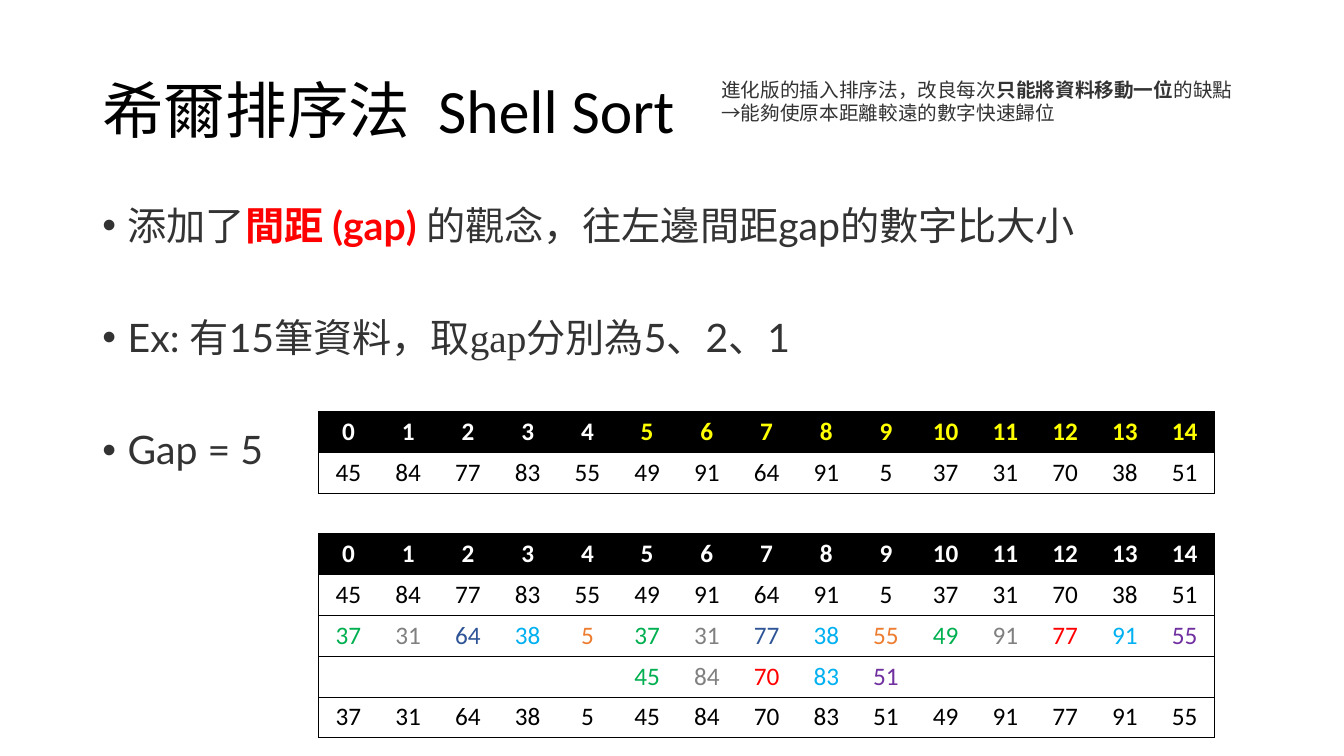
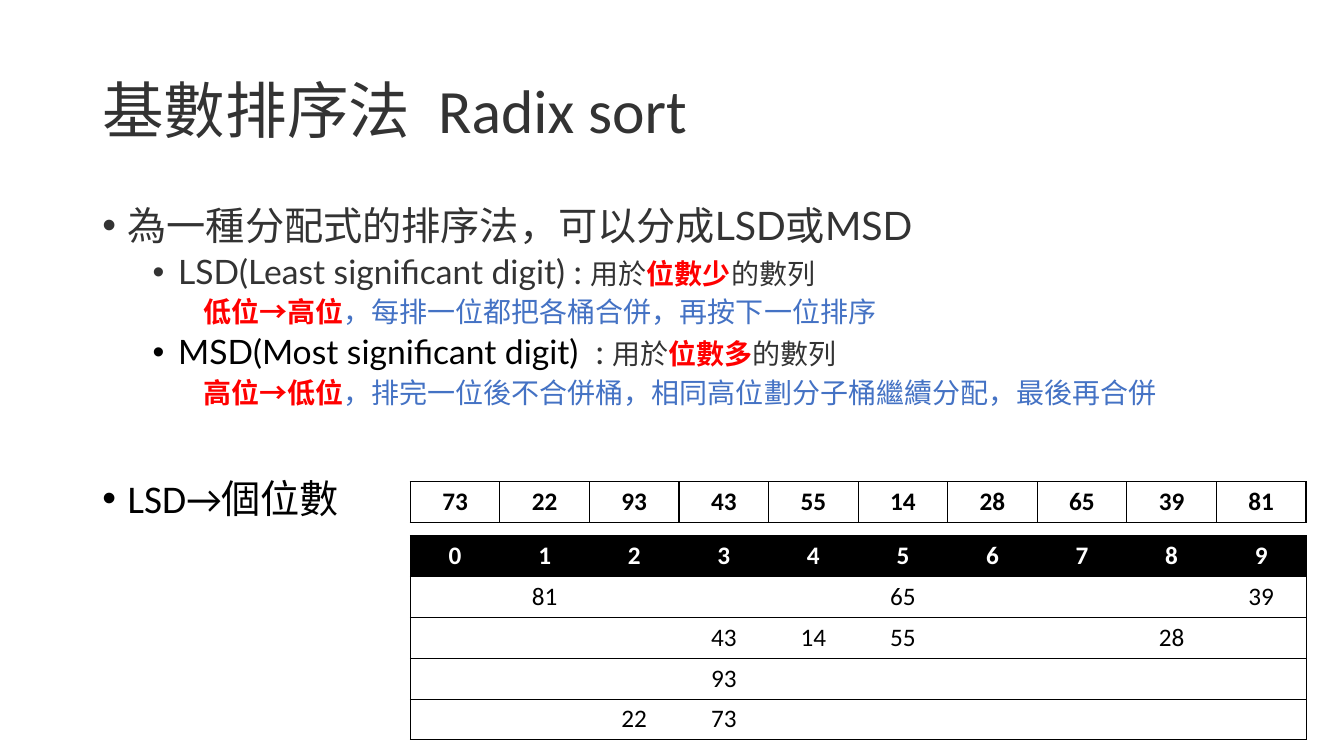
from dataclasses import dataclass
from typing import Optional

from lxml import etree
from pptx import Presentation
from pptx.dml.color import RGBColor
from pptx.enum import text as tx
from pptx.oxml import ns
from pptx.util import Cm, Pt

BLACK = RGBColor(0x00, 0x00, 0x00)
WHITE = RGBColor(0xFF, 0xFF, 0xFF)
INK = RGBColor(0x33, 0x33, 0x33)
RED = RGBColor(0xFF, 0x00, 0x00)
YELLOW = RGBColor(0xFF, 0xFF, 0x00)
BLUE = RGBColor(0x44, 0x72, 0xC4)
GREEN = RGBColor(0x00, 0xB0, 0x50)
GRAY = RGBColor(0x80, 0x80, 0x80)
NAVY = RGBColor(0x2F, 0x55, 0x97)
SKY = RGBColor(0x00, 0xB0, 0xF0)
ORANGE = RGBColor(0xED, 0x7D, 0x31)
PURPLE = RGBColor(0x70, 0x30, 0xA0)

HEAD_FONT = "Calibri"
BODY_FONT = "Lato"
MARGIN = Cm(2.33)
CONTENT_WIDTH = Cm(29.21)
TABLE_WIDTH = Cm(22.58)
ROW_HEIGHT = Cm(1.03)
SECTION_GAP = 50

EARLY_GROUPS = [GREEN, GRAY, NAVY, SKY, ORANGE]
LATE_GROUPS = [GREEN, GRAY, RED, SKY, PURPLE]

SHELL_DATA = [45, 84, 77, 83, 55, 49, 91, 64, 91, 5, 37, 31, 70, 38, 51]
SHELL_MOVED = [37, 31, 64, 38, 5, 37, 31, 77, 38, 55, 49, 91, 77, 91, 55]
SHELL_SWAPPED = [""] * 5 + [45, 84, 70, 83, 51] + [""] * 5
SHELL_RESULT = [37, 31, 64, 38, 5, 45, 84, 70, 83, 51, 49, 91, 77, 91, 55]

RADIX_DATA = [73, 22, 93, 43, 55, 14, 28, 65, 39, 81]
RADIX_BUCKETS = [
    {1: 81, 5: 65, 9: 39},
    {3: 43, 4: 14, 5: 55, 8: 28},
    {3: 93},
    {2: 22, 3: 73},
]


@dataclass
class Span:
    text: str
    color: Optional[RGBColor] = None
    bold: Optional[bool] = None
    size: Optional[float] = None
    font: Optional[str] = None


def key(text):
    return Span(text, RED, True)


def style(font, name=None, size=None, color=None, bold=None):
    if name:
        font.name = name
    if size:
        font.size = Pt(size)
    if color is not None:
        font.color.rgb = color
    if bold is not None:
        font.bold = bold


def write(paragraph, spans, name=BODY_FONT, size=28, color=INK):
    style(paragraph.font, name, size, color)
    for span in spans:
        if isinstance(span, str):
            span = Span(span)
        run = paragraph.add_run()
        run.text = span.text
        style(run.font, span.font, span.size, span.color, span.bold)


def add_frame(slide, left, top, width, height):
    frame = slide.shapes.add_textbox(left, top, width, height).text_frame
    frame.word_wrap = True
    return frame


def next_paragraph(frame):
    first = frame.paragraphs[0]
    return frame.add_paragraph() if first.runs else first


def add_title(slide, title, color):
    frame = add_frame(slide, MARGIN, Cm(1.01), CONTENT_WIDTH, Cm(3.68))
    frame.vertical_anchor = tx.MSO_ANCHOR.MIDDLE
    heading = frame.paragraphs[0]
    heading.line_spacing = 0.9
    write(heading, [title], HEAD_FONT, 44, color)


def add_body(slide):
    return add_frame(slide, MARGIN, Cm(5.07), CONTENT_WIDTH, Cm(12.09))


def add_point(frame, spans, level=0, before=10, bullet=True, **look):
    point = next_paragraph(frame)
    point.level = level
    properties = point._p.get_or_add_pPr()
    hang = Cm(0.64) if bullet else 0
    properties.set("marL", str(Cm((0.64, 1.91, 2.54)[level])))
    properties.set("indent", str(-hang))
    if bullet:
        etree.SubElement(properties, ns.qn("a:buFont")).set("typeface", "Arial")
        etree.SubElement(properties, ns.qn("a:buChar")).set("char", "•")
    point.line_spacing = 0.9
    point.space_before = Pt(before)
    write(point, spans, **look)


def add_note(slide, lines):
    frame = add_frame(slide, Cm(17.93), Cm(1.83), Cm(13.6), Cm(2.06))
    frame.auto_size = tx.MSO_AUTO_SIZE.SHAPE_TO_FIT_TEXT
    for spans in lines:
        write(next_paragraph(frame), spans, size=14)


def set_borders(cell, sides, width):
    properties = cell._tc.get_or_add_tcPr()
    for side in "LRTB":
        line = etree.SubElement(properties, ns.qn(f"a:ln{side}"))
        if side in sides:
            line.set("w", str(Pt(width)))
            fill = etree.SubElement(line, ns.qn("a:solidFill"))
            etree.SubElement(fill, ns.qn("a:srgbClr")).set("val", str(BLACK))
        else:
            etree.SubElement(line, ns.qn("a:noFill"))


def fill_cell(cell, value, color, bold, background=None):
    if background is None:
        cell.fill.background()
    else:
        cell.fill.solid()
        cell.fill.fore_color.rgb = background
    entry = cell.text_frame.paragraphs[0]
    entry.alignment = tx.PP_ALIGN.CENTER
    style(entry.font, HEAD_FONT, 18, color, bold)
    if value != "":
        entry.add_run().text = str(value)


def add_grid(slide, left, top, rows):
    columns = len(rows[0])
    grid = slide.shapes.add_table(
        len(rows), columns, left, top, TABLE_WIDTH, ROW_HEIGHT * len(rows)
    ).table
    grid.first_row = False
    grid.horz_banding = False
    for row in grid.rows:
        row.height = ROW_HEIGHT
    return grid


def add_array_table(slide, left, top, rows, head_colors=None, row_colors=None):
    columns = len(rows[0])
    colors = {0: head_colors or [WHITE] * columns, **(row_colors or {})}
    grid = add_grid(slide, left, top, [range(columns), *rows])
    for r, values in enumerate([range(columns), *rows]):
        palette = colors.get(r, [BLACK] * columns)
        for c, value in enumerate(values):
            cell = grid.cell(r, c)
            sides = "TB" + "L" * (c == 0) + "R" * (c == columns - 1)
            set_borders(cell, sides, 0.5)
            fill_cell(cell, value, palette[c], r == 0, BLACK if r == 0 else None)


def add_input_strip(slide, left, top, values):
    grid = add_grid(slide, left, top, [values])
    for c, value in enumerate(values):
        cell = grid.cell(0, c)
        cell.vertical_anchor = tx.MSO_ANCHOR.MIDDLE
        set_borders(cell, "LRTB", 1)
        fill_cell(cell, value, BLACK, True)


def build_shell_sort(slide):
    add_title(slide, "希爾排序法  Shell Sort", BLACK)
    body = add_body(slide)
    add_point(body, ["添加了", key("間距 (gap) "), "的觀念，往左邊間距gap的數字比大小"])
    add_point(body, [
        "Ex: 有15筆資料，取",
        Span("gap", font="Times New Roman"),
        "分別為5",
        Span("、", font="Roboto"),
        "2",
        Span("、", font="Roboto"),
        "1",
    ], before=SECTION_GAP)
    add_point(body, ["Gap = 5"], before=SECTION_GAP)
    add_note(slide, [
        ["進化版的插入排序法，改良每次", Span("只能將資料移動一位", bold=True), "的缺點"],
        ["→能夠使原本距離較遠的數字快速歸位"],
    ])
    left = Cm(8.03)
    add_array_table(slide, left, Cm(10.36), [SHELL_DATA],
                    head_colors=[WHITE] * 5 + [YELLOW] * 10)
    add_array_table(
        slide, left, Cm(13.44),
        [SHELL_DATA, SHELL_MOVED, SHELL_SWAPPED, SHELL_RESULT],
        row_colors={2: EARLY_GROUPS * 2 + LATE_GROUPS, 3: LATE_GROUPS * 3},
    )


def build_radix_sort(slide):
    add_title(slide, "基數排序法  Radix sort", INK)
    body = add_body(slide)
    add_point(body, ["為一種分配式的排序法，可以分成LSD或MSD"])
    methods = [
        ([Span("LSD(Least significant digit) : ", size=24)],
         "位數少", "低位→高位", "，每排一位都把各桶合併，再按下一位排序"),
        ([Span("MSD(Most significant digit)  ", BLACK, size=24), Span(": ", size=24)],
         "位數多", "高位→低位", "，排完一位後不合併桶，相同高位劃分子桶繼續分配，最後再合併"),
    ]
    for name, usage, order, steps in methods:
        add_point(body, [*name, "用於", key(usage), "的數列"],
                  level=1, before=5, size=20)
        add_point(body, [key(order), steps],
                  level=2, before=5, bullet=False, size=20, color=BLUE)
    add_point(body, ["LSD→個位數"], before=SECTION_GAP, name=HEAD_FONT, color=BLACK)
    left = Cm(10.34)
    add_input_strip(slide, left, Cm(12.14), RADIX_DATA)
    buckets = [[row.get(digit, "") for digit in range(10)] for row in RADIX_BUCKETS]
    add_array_table(slide, left, Cm(13.49), buckets)


def main():
    deck = Presentation()
    deck.slide_width = Cm(33.87)
    deck.slide_height = Cm(19.05)
    for build in (build_shell_sort, build_radix_sort):
        build(deck.slides.add_slide(deck.slide_layouts[6]))
    deck.save("out.pptx")


if __name__ == "__main__":
    main()
